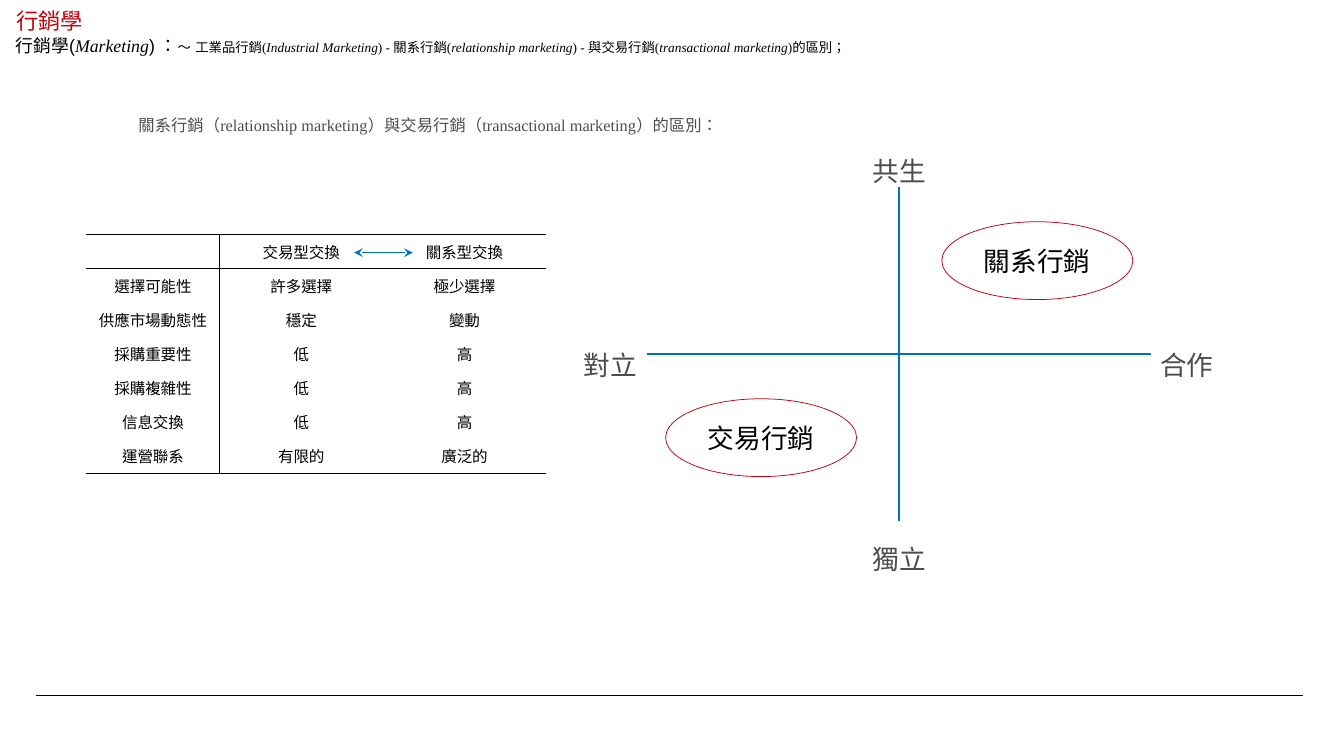
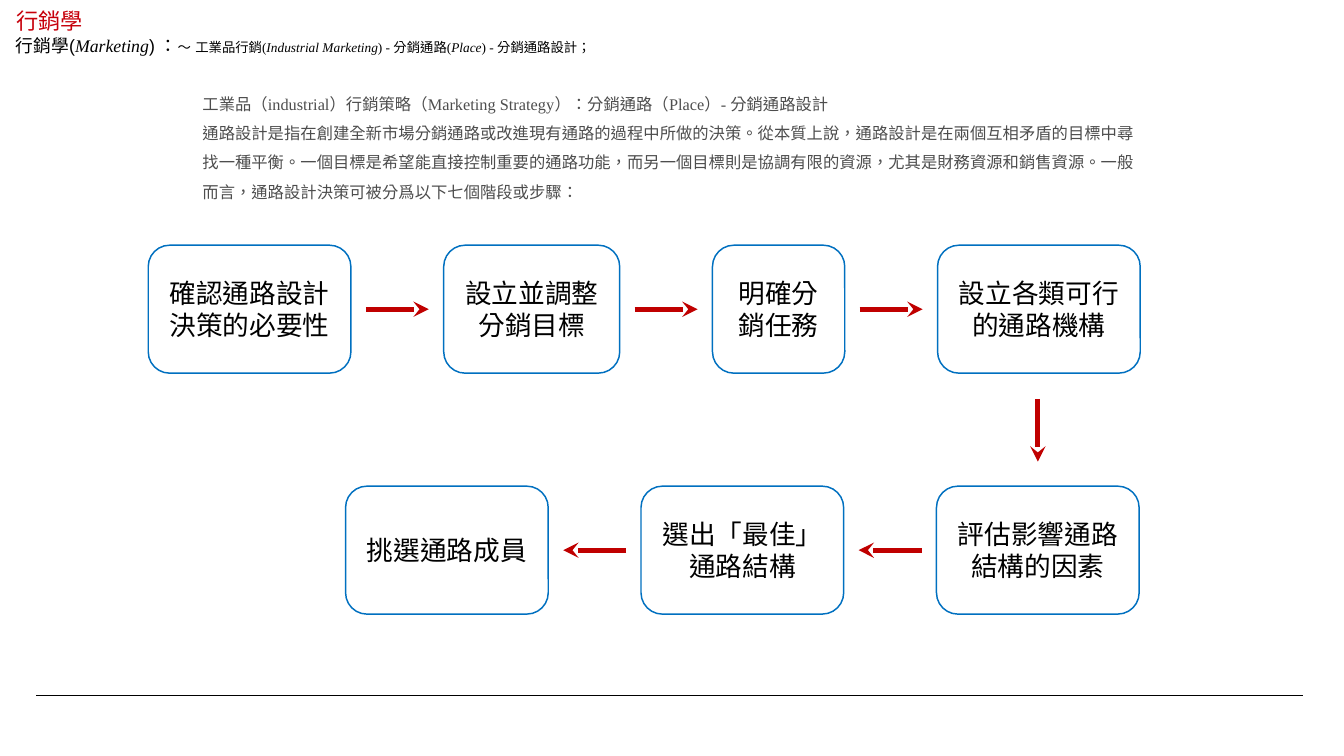
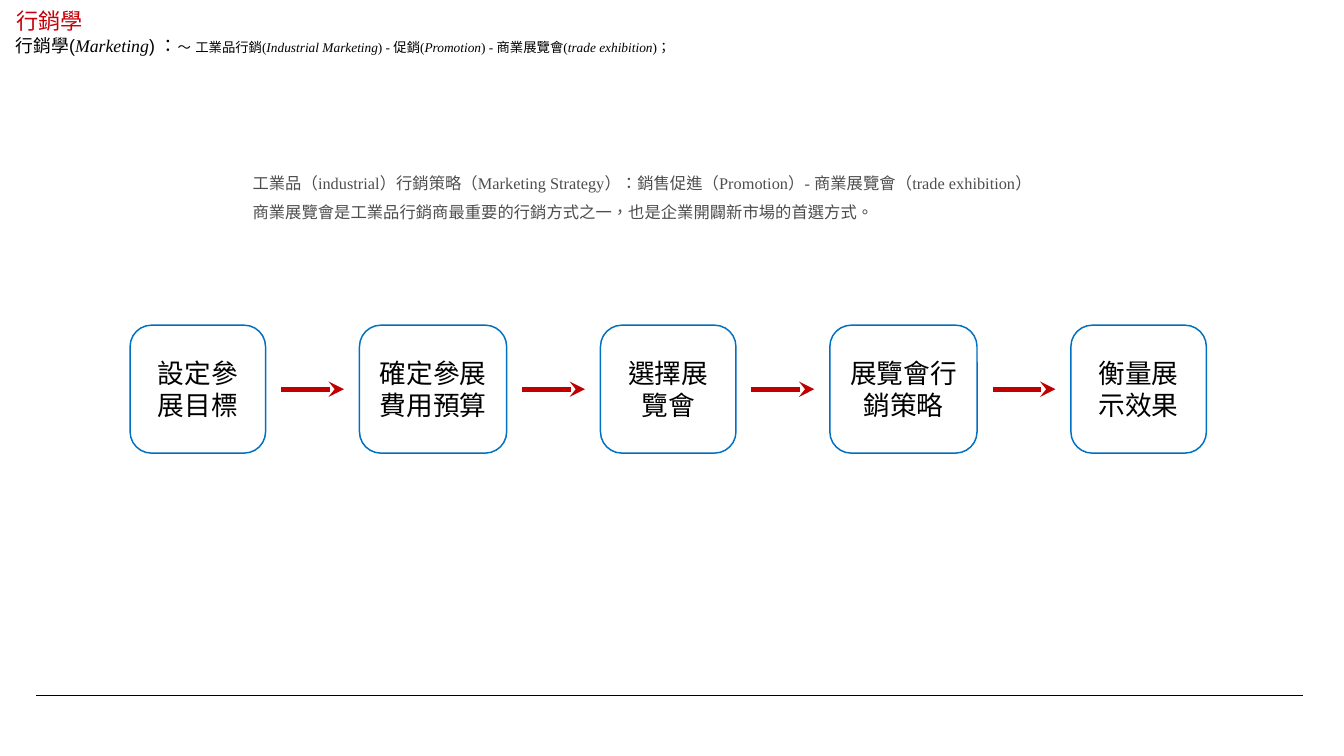
from dataclasses import dataclass

from lxml import etree
from pptx import Presentation
from pptx.dml.color import RGBColor
from pptx.enum.lang import MSO_LANGUAGE_ID
from pptx.enum.shapes import MSO_CONNECTOR, MSO_SHAPE
from pptx.enum.text import MSO_ANCHOR, MSO_AUTO_SIZE, PP_ALIGN
from pptx.oxml.ns import qn
from pptx.util import Inches, Pt

LEFT, CENTER, RIGHT = PP_ALIGN.LEFT, PP_ALIGN.CENTER, PP_ALIGN.RIGHT
MIDDLE = MSO_ANCHOR.MIDDLE
NO_FIT = MSO_AUTO_SIZE.NONE
STRAIGHT = MSO_CONNECTOR.STRAIGHT
OVAL, ROUNDED = MSO_SHAPE.OVAL, MSO_SHAPE.ROUNDED_RECTANGLE
CHINESE = MSO_LANGUAGE_ID.TRADITIONAL_CHINESE


@dataclass(frozen=True)
class Theme:
    black: str = "000000"
    gray: str = "4D4D4D"
    red: str = "C7000B"
    arrow: str = "C00000"
    blue: str = "0070C0"
    sans: str = "Arial"
    serif: str = "Times New Roman"
    chinese: str = "Noto Sans CJK SC"
    title: float = 15
    topic: float = 12
    gap: float = 13
    trail: float = 9
    body: float = 11
    label: float = 18
    cell: float = 10.5
    body_pitch: float = 19.8
    label_pitch: float = 32.4
    box_pitch: float = 21.6


theme = Theme()


def add_span(para, text, font, size, color, italic=False):
    span = para.add_run()
    span.text = text
    span.font.name = font
    span.font.size = Pt(size)
    span.font.italic = italic
    span.font.color.rgb = RGBColor.from_string(color)
    span.font.language_id = CHINESE
    latin = span.font._element.find(qn("a:latin"))
    east_asian = etree.Element(qn("a:ea"), typeface=theme.chinese)
    latin.addnext(east_asian)


def draw_line(page, start, end, color, width, ends=()):
    points = [Inches(value) for value in (*start, *end)]
    line = page.shapes.add_connector(STRAIGHT, *points)
    line.line.color.rgb = RGBColor.from_string(color)
    line.line.width = Pt(width)
    for name in ends:
        etree.SubElement(line.line._ln, qn(name), type="stealth")
    etree.SubElement(line.element.spPr, qn("a:effectLst"))
    return line


deck = Presentation()
deck.slide_width, deck.slide_height = Inches(12.6), Inches(7.09)
layout = deck.slide_layouts[5]

# Shared title place
title = layout.placeholders[0]
title.left, title.top = Inches(0.05), Inches(0.07)
title.width, title.height = Inches(9.32), Inches(0.24)

# Topic trail (plain and italic parts alternate), intro place and intro text
contents = [
    (["工業品行銷(", "Industrial Marketing", ") - 關系行銷(",
      "relationship marketing", ") - 與交易行銷(",
      "transactional marketing", ")的區別；"],
     (1.2, 0.94, 5.51, 0.65),
     ["關系行銷（relationship marketing）與交易行銷（transactional marketing）的區別："]),
    (["工業品行銷(", "Industrial Marketing", ") - 分銷通路(", "Place",
      ") - 分銷通路設計；"],
     (1.8, 0.74, 9, 1.2),
     ["工業品（industrial）行銷策略（Marketing Strategy）：分銷通路（Place）- 分銷通路設計",
      "通路設計是指在創建全新市場分銷通路或改進現有通路的過程中所做的決策。"
      "從本質上說，通路設計是在兩個互相矛盾的目標中尋找一種平衡。"
      "一個目標是希望能直接控制重要的通路功能，而另一個目標則是協調有限的資源，"
      "尤其是財務資源和銷售資源。一般而言，通路設計決策可被分爲以下七個階段或步驟："]),
    (["工業品行銷(", "Industrial Marketing", ") - 促銷(", "Promotion",
      ") - 商業展覽會(", "trade exhibition", ")；"],
     (2.27, 1.48, 7.84, 0.93),
     ["工業品（industrial）行銷策略（Marketing Strategy）：銷售促進（Promotion）"
      "- 商業展覽會（trade exhibition）",
      "商業展覽會是工業品行銷商最重要的行銷方式之一，也是企業開闢新市場的首選方式。"]),
]

pages = []
for trail, place, intro in contents:
    page = deck.slides.add_slide(layout)
    pages.append(page)

    # Title
    frame = page.shapes.title.text_frame
    frame.auto_size = NO_FIT
    frame.vertical_anchor = MIDDLE
    frame.margin_top = frame.margin_bottom = 0
    para = frame.paragraphs[0]
    para.alignment = LEFT
    add_span(para, "行銷學", theme.sans, theme.title, theme.red)

    # Topic line
    box = page.shapes.add_textbox(Inches(0.05), Inches(0.26), Inches(10.43), Inches(0.32))
    box.text_frame.word_wrap = True
    para = box.text_frame.paragraphs[0]
    add_span(para, "行銷學(", theme.sans, theme.topic, theme.black)
    add_span(para, "Marketing", theme.serif, theme.topic, theme.black, True)
    add_span(para, ") ：", theme.sans, theme.topic, theme.black)
    add_span(para, "～", theme.sans, theme.trail, theme.black)
    add_span(para, " ", theme.sans, theme.gap, theme.black)
    for index, text in enumerate(trail):
        add_span(para, text, theme.serif, theme.trail, theme.black, index % 2 == 1)

    # Intro text
    box = page.shapes.add_textbox(*[Inches(value) for value in place])
    frame = box.text_frame
    frame.word_wrap = True
    for index, text in enumerate(intro):
        para = frame.add_paragraph() if index else frame.paragraphs[0]
        para.line_spacing = Pt(theme.body_pitch)
        add_span(para, text, theme.serif, theme.body, theme.gray)

compare_page, channel_page, exhibition_page = pages

# Footer rule, kept on the layout
rule = draw_line(compare_page, (0.34, 6.52), (12.22, 6.52), theme.black, 0.5)
layout.shapes.element.append(rule.element)

# Axes of the quadrant
draw_line(compare_page, (6.07, 3.32), (10.79, 3.32), theme.blue, 1)
draw_line(compare_page, (8.43, 1.75), (8.43, 4.89), theme.blue, 1)

# Axis labels
for text, left, top, width, align in [
    ("共生", 7.9, 1.25, 1.06, CENTER),
    ("獨立", 7.9, 4.89, 1.06, CENTER),
    ("對立", 5.1, 3.07, 0.97, RIGHT),
    ("合作", 10.78, 3.07, 0.97, LEFT),
]:
    box = compare_page.shapes.add_textbox(Inches(left), Inches(top), Inches(width), Inches(0.5))
    box.text_frame.word_wrap = True
    para = box.text_frame.paragraphs[0]
    para.alignment = align
    para.line_spacing = Pt(theme.label_pitch)
    add_span(para, text, theme.serif, theme.label, theme.gray)

# Comparison table
rows = [
    ("", "交易型交換", "關系型交換"),
    ("選擇可能性", "許多選擇", "極少選擇"),
    ("供應市場動態性", "穩定", "變動"),
    ("採購重要性", "低", "高"),
    ("採購複雜性", "低", "高"),
    ("信息交換", "低", "高"),
    ("運營聯系", "有限的", "廣泛的"),
]
row_height = 0.32
table = compare_page.shapes.add_table(
    len(rows), 3, Inches(0.81), Inches(2.2), Inches(4.31), Inches(row_height * len(rows))).table
table.first_row = table.horz_banding = False
for column, width in zip(table.columns, (1.25, 1.53, 1.53)):
    column.width = Inches(width)
for row_index, row in enumerate(rows):
    table.rows[row_index].height = Inches(row_height)
    for column_index, text in enumerate(row):
        cell = table.cell(row_index, column_index)
        cell.vertical_anchor = MIDDLE
        cell.margin_left = cell.margin_right = Inches(0.07)
        cell.margin_top = cell.margin_bottom = 0
        borders = {
            "a:lnL": column_index == 1,
            "a:lnR": column_index == 0,
            "a:lnT": row_index in (0, 1),
            "a:lnB": row_index in (0, len(rows) - 1),
        }
        for side, drawn in borders.items():
            edge = etree.SubElement(cell._tc.tcPr, qn(side), w=str(Pt(1)))
            paint = etree.SubElement(edge, qn("a:solidFill" if drawn else "a:noFill"))
            if drawn:
                etree.SubElement(paint, qn("a:srgbClr"), val=theme.black)
        cell.fill.background()
        para = cell.text_frame.paragraphs[0]
        para.alignment = CENTER
        if text:
            add_span(para, text, theme.chinese, theme.cell, theme.black)
draw_line(compare_page, (3.32, 2.37), (3.87, 2.37), theme.blue, 0.5, ("a:headEnd", "a:tailEnd"))

# Outlined shapes: page, preset, line colour, line width, place, text
outlines = [
    (compare_page, OVAL, theme.red, 0.5, (8.83, 2.08, 1.79, 0.73), "關系行銷"),
    (compare_page, OVAL, theme.red, 0.5, (6.24, 3.74, 1.79, 0.73), "交易行銷"),
]

# Rows of steps, left to right, with an arrow centred in each gap
step_height, arrow_length = 1.2, 0.59
flows = [
    (channel_page, 1.39, 2.3, 0.87, False,
     [("確認通路設計決策的必要性", 1.9), ("設立並調整分銷目標", 1.65),
      ("明確分銷任務", 1.24), ("設立各類可行的通路機構", 1.9)]),
    (channel_page, 3.24, 4.56, 0.87, True,
     [("挑選通路成員", 1.9), ("選出「最佳」通路結構", 1.9),
      ("評估影響通路結構的因素", 1.9)]),
    (exhibition_page, 1.22, 3.05, 0.88, False,
     [("設定參展目標", 1.27), ("確定參展費用預算", 1.38), ("選擇展覽會", 1.27),
      ("展覽會行銷策略", 1.38), ("衡量展示效果", 1.27)]),
]
for page, left, top, gap, leftward, steps in flows:
    middle = top + step_height / 2
    for index, (text, width) in enumerate(steps):
        if index:
            start = left - (gap + arrow_length) / 2
            ends = [(start, middle), (start + arrow_length, middle)]
            if leftward:
                ends.reverse()
            draw_line(page, *ends, theme.arrow, 3.5, ("a:tailEnd",))
        outlines.append((page, ROUNDED, theme.blue, 1, (left, top, width, step_height), text))
        left += width + gap
draw_line(channel_page, (9.73, 3.74), (9.73, 3.74 + arrow_length), theme.arrow, 3.5, ("a:tailEnd",))

for page, preset, color, weight, place, text in outlines:
    box = page.shapes.add_shape(preset, *[Inches(value) for value in place])
    box.shadow.inherit = False
    box.fill.background()
    box.line.color.rgb = RGBColor.from_string(color)
    box.line.width = Pt(weight)
    frame = box.text_frame
    frame.word_wrap = True
    frame.vertical_anchor = MIDDLE
    para = frame.paragraphs[0]
    para.alignment = CENTER
    para.line_spacing = Pt(theme.box_pitch)
    add_span(para, text, theme.chinese, theme.label, theme.black)

deck.save("out.pptx")
